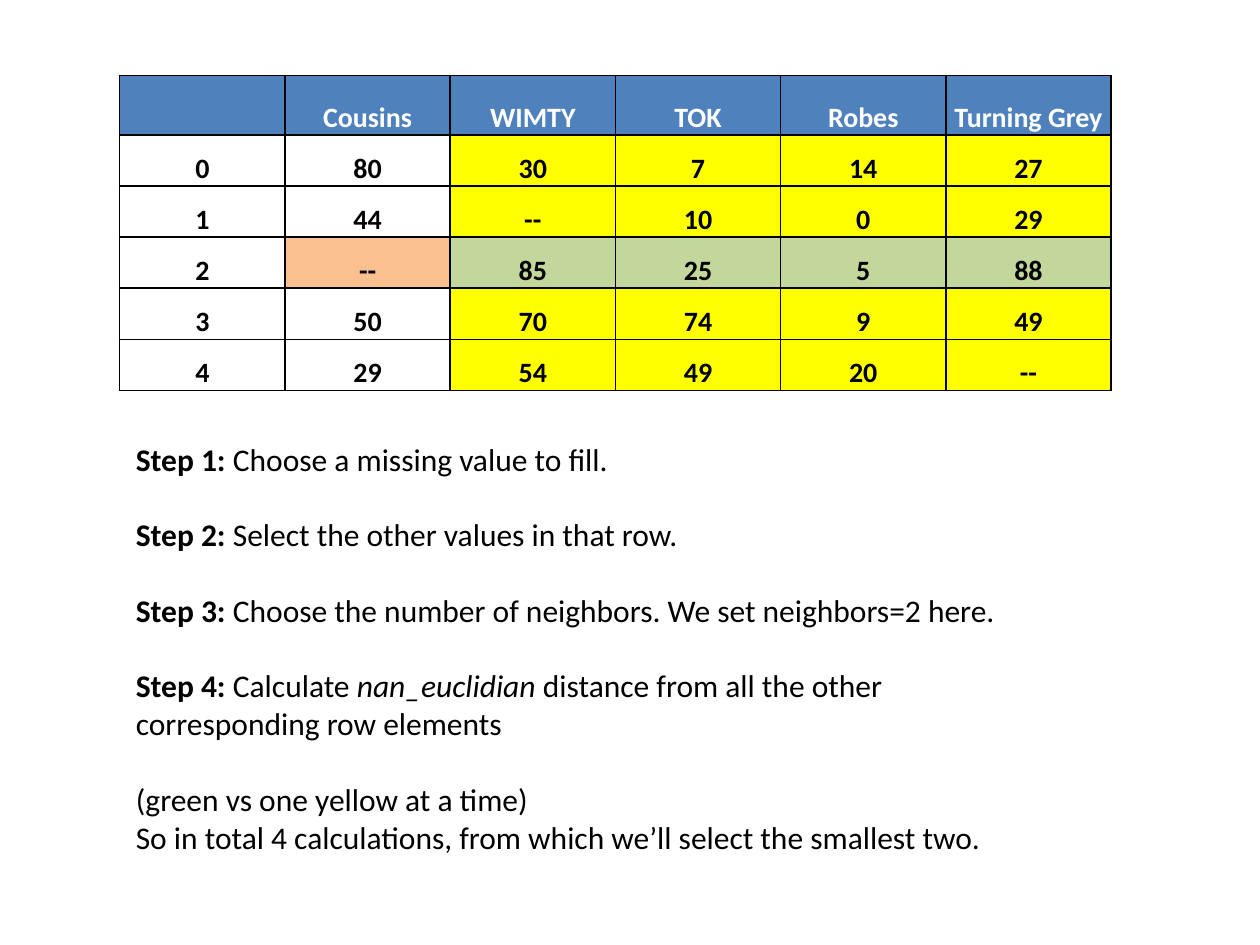
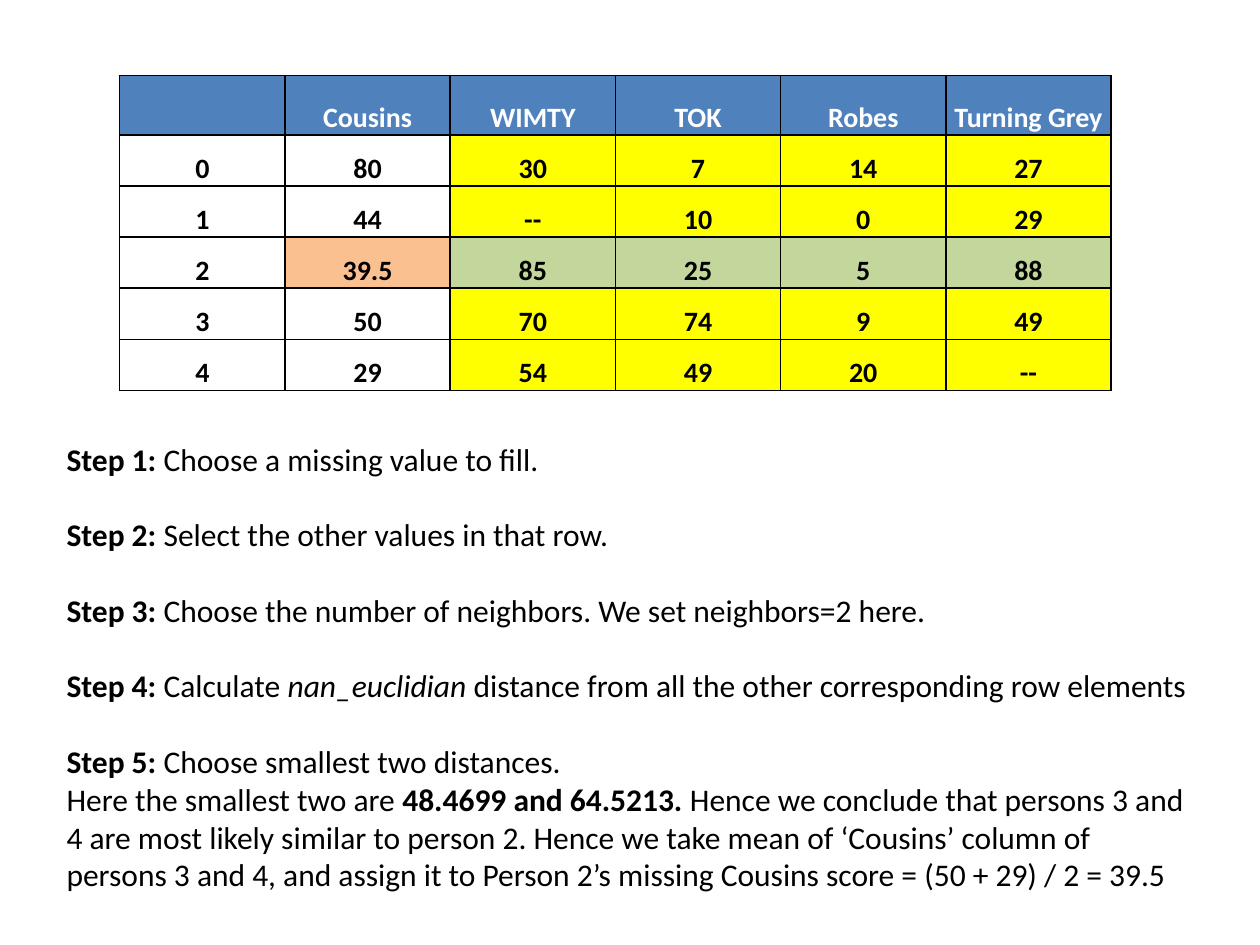
from lxml.etree import SubElement
from pptx import Presentation
from pptx.dml.color import RGBColor
from pptx.enum.text import MSO_ANCHOR, PP_ALIGN
from pptx.oxml.ns import qn
from pptx.util import Inches, Pt

FONT = "Calibri"
BLACK = RGBColor(0x00, 0x00, 0x00)
WHITE = RGBColor(0xFF, 0xFF, 0xFF)
HEADER_BLUE = RGBColor(0x4F, 0x81, 0xBD)
COMPARED_YELLOW = RGBColor(0xFF, 0xFF, 0x00)
KNOWN_GREEN = RGBColor(0xC3, 0xD6, 0x9B)
MISSING_ORANGE = RGBColor(0xFA, 0xC0, 0x90)

TABLE_LEFT, TABLE_TOP = 0.95, 0.6
TABLE_WIDTH, TABLE_HEIGHT = 7.87, 2.5
HEADER_HEIGHT = 0.47
STEPS_TOP, STEPS_HEIGHT = 3.44, 3.74
STEP_GAP = Pt(21.6)

SHOWS = ["", "Cousins", "WIMTY", "TOK", "Robes", "Turning Grey"]
SCORES = [
    ["80", "30", "7", "14", "27"],
    ["44", "--", "10", "0", "29"],
    ["--", "85", "25", "5", "88"],
    ["50", "70", "74", "9", "49"],
    ["29", "54", "49", "20", "--"],
]
TARGET_PERSON = 2

# Each paragraph: whether a gap precedes it, then its (text, style) runs.
COMMON_STEPS = [
    (False, [("Step 1: ", "bold"), ("Choose a missing value to fill.", "")]),
    (True, [("Step 2: ", "bold"), ("Select the other values in that row.", "")]),
    (True, [("Step 3: ", "bold"),
            ("Choose the number of neighbors. We set neighbors=2 here.", "")]),
    (True, [("Step 4: ", "bold"), ("Calculate ", ""), ("nan_euclidian", "italic"),
            (" distance from all the other corresponding row elements", "")]),
]
CALCULATION_NOTE = [
    (True, [("(green vs one yellow at a time)", "")]),
    (False, [("So in total 4 calculations, from which we’ll select the "
              "smallest two.", "")]),
]
CONCLUSION = [
    (True, [("Step 5: ", "bold"), ("Choose smallest two distances.", "")]),
    (False, [("Here the smallest two are ", ""),
             ("48.4699 and 64.5213. ", "bold"),
             ("Hence we conclude that persons 3 and 4 are most likely similar to "
              "person 2. Hence we take mean of ‘Cousins’ column of persons 3 and 4, "
              "and assign it to Person 2’s missing Cousins score = "
              "(50 + 29) / 2 = 39.5", "")]),
]


def add_run(paragraph, text, size, color=BLACK, bold=False, italic=False):
    run = paragraph.add_run()
    run.text = text
    font = run.font
    font.name, font.size = FONT, Pt(size)
    font.bold, font.italic = bold, italic
    font.color.rgb = color


def add_steps(slide, left, width, steps):
    box = slide.shapes.add_textbox(Inches(left), Inches(STEPS_TOP),
                                   Inches(width), Inches(STEPS_HEIGHT))
    frame = box.text_frame
    frame.word_wrap = True
    for index, (gap_before, runs) in enumerate(steps):
        paragraph = frame.add_paragraph() if index else frame.paragraphs[0]
        if gap_before:
            paragraph.space_before = STEP_GAP
        for text, style in runs:
            add_run(paragraph, text, 18, bold=style == "bold",
                    italic=style == "italic")


def add_borders(cell):
    properties = cell._tc.get_or_add_tcPr()
    for side in ("lnL", "lnR", "lnT", "lnB"):
        line = SubElement(properties, qn(f"a:{side}"), w=str(Pt(1)))
        fill = SubElement(line, qn("a:solidFill"))
        SubElement(fill, qn("a:srgbClr"), val=str(BLACK))


def cell_fill(row, column):
    """Return the colour for a cell's role, or None for no fill."""
    if row == 0:
        return HEADER_BLUE
    if column == 0:
        return None
    is_target = row - 1 == TARGET_PERSON
    if column == 1:
        return MISSING_ORANGE if is_target else None
    return KNOWN_GREEN if is_target else COMPARED_YELLOW


def format_cell(cell, text, fill_color, text_color):
    add_borders(cell)
    cell.margin_left = cell.margin_right = cell.margin_top = Inches(0.01)
    cell.margin_bottom = 0
    cell.vertical_anchor = MSO_ANCHOR.BOTTOM
    if fill_color is None:
        cell.fill.background()
    else:
        cell.fill.solid()
        cell.fill.fore_color.rgb = fill_color
    paragraph = cell.text_frame.paragraphs[0]
    paragraph.alignment = PP_ALIGN.CENTER
    if text:
        add_run(paragraph, text, 16, text_color, bold=True)


def add_score_table(slide, target_score):
    rows = [SHOWS] + [[str(person), *scores]
                      for person, scores in enumerate(SCORES)]
    rows[TARGET_PERSON + 1][1] = target_score
    table = slide.shapes.add_table(
        len(rows), len(SHOWS), Inches(TABLE_LEFT), Inches(TABLE_TOP),
        Inches(TABLE_WIDTH), Inches(TABLE_HEIGHT)).table
    table.horz_banding = False
    person_height = (TABLE_HEIGHT - HEADER_HEIGHT) / len(SCORES)
    for row, values in enumerate(rows):
        table.rows[row].height = Inches(person_height if row else HEADER_HEIGHT)
        for column, value in enumerate(values):
            format_cell(table.cell(row, column), value, cell_fill(row, column),
                        BLACK if row else WHITE)


def add_imputation_slide(presentation, target_score, left, width, steps):
    slide = presentation.slides.add_slide(presentation.slide_layouts[6])
    add_steps(slide, left, width, steps)
    add_score_table(slide, target_score)


def main():
    presentation = Presentation()
    presentation.slide_width, presentation.slide_height = Inches(10), Inches(7.5)
    add_imputation_slide(presentation, "--", 0.98, 7.6,
                         COMMON_STEPS + CALCULATION_NOTE)
    add_imputation_slide(presentation, "39.5", 0.43, 9.13,
                         COMMON_STEPS + CONCLUSION)
    presentation.save("out.pptx")


if __name__ == "__main__":
    main()
